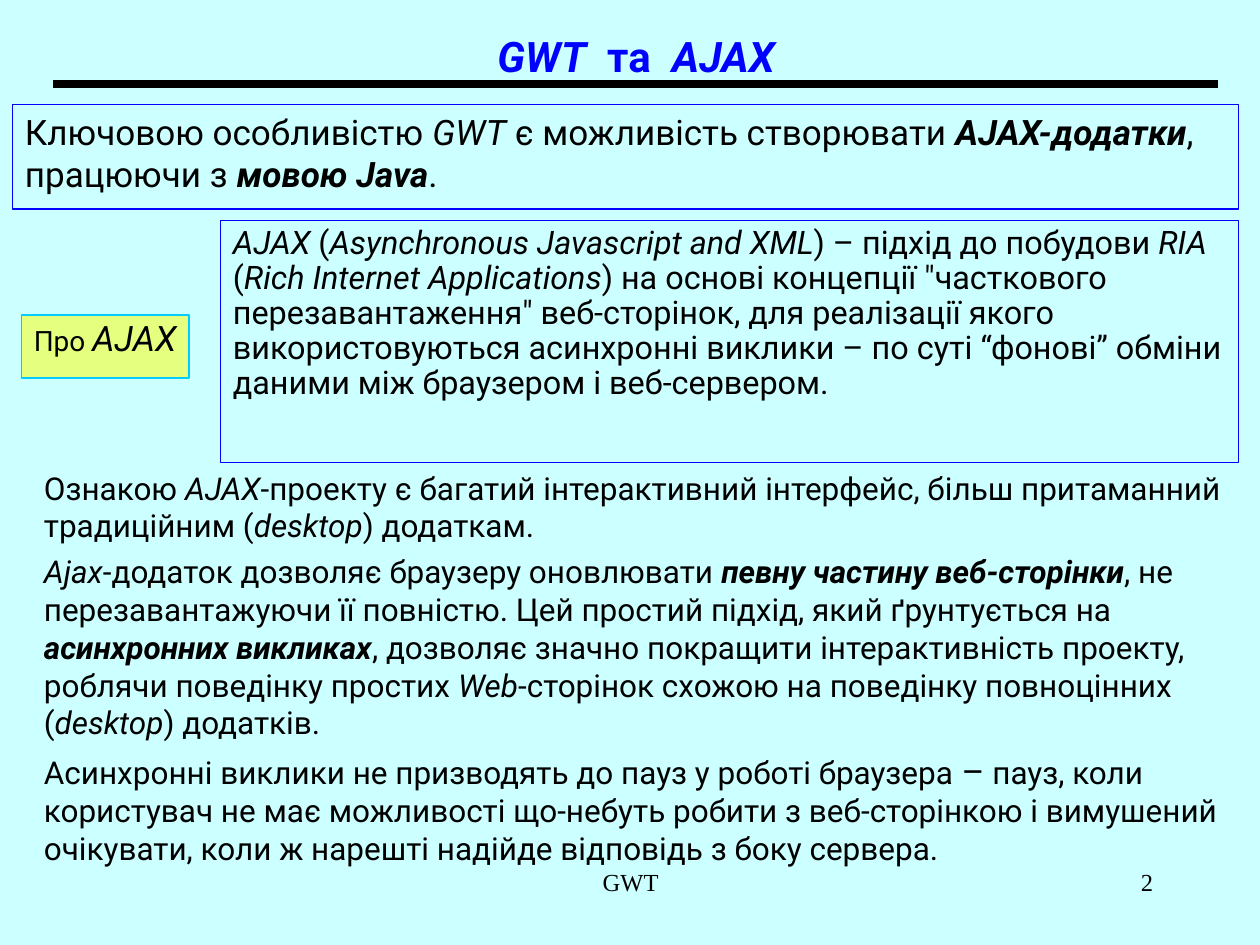
from lxml.etree import SubElement
from pptx import Presentation
from pptx.dml.color import RGBColor
from pptx.enum.shapes import MSO_CONNECTOR, MSO_SHAPE
from pptx.enum.text import MSO_ANCHOR, PP_ALIGN
from pptx.oxml.ns import qn
from pptx.util import Inches, Pt

BLACK = RGBColor(0x00, 0x00, 0x00)
BLUE = RGBColor(0x00, 0x00, 0xFF)
CYAN = RGBColor(0x00, 0xCC, 0xFF)
YELLOW = RGBColor(0xFF, 0xFF, 0x00)
PALE = RGBColor(0xCC, 0xFF, 0xFF)

deck = Presentation()
deck.slide_width = Inches(10)
deck.slide_height = Inches(7.5)
page = deck.slides.add_slide(deck.slide_layouts[6])
page.background.fill.solid()
page.background.fill.fore_color.rgb = PALE


def write(box, paragraphs, size, color=BLACK, font="Roboto", align=PP_ALIGN.LEFT,
          spacing=1.0, gap=0, anchor=MSO_ANCHOR.TOP):
    frame = box.text_frame
    frame.word_wrap = True
    frame.vertical_anchor = anchor
    for index, runs in enumerate(paragraphs):
        para = frame.add_paragraph() if index else frame.paragraphs[0]
        para.alignment = align
        para.line_spacing = spacing
        para.space_before = Pt(gap if index else 0)
        for text, style, *special in runs:
            span = para.add_run()
            span.text = text
            values = {"name": font, "size": Pt(size), "bold": "b" in style, "italic": "i" in style}
            if special:
                values.update(special[0])
            for name, value in values.items():
                setattr(span.font, name, value)
            span.font.color.rgb = color


def add_panel(place, line_color, line_width):
    panel = page.shapes.add_shape(MSO_SHAPE.RECTANGLE, *map(Inches, place))
    panel.shadow.inherit = False
    panel.fill.background()
    panel.line.color.rgb = line_color
    panel.line.width = Pt(line_width)
    return panel


title = page.shapes.add_textbox(Inches(0.25), Inches(0), Inches(9.75), Inches(0.67))
write(title, [[
    ("GWT", "bi"), ("  та  ", "b"), ("AJAX", "bi"),
    (" ", "", {"name": "Times New Roman", "size": Pt(44)}),
]], 24, BLUE, align=PP_ALIGN.CENTER, anchor=MSO_ANCHOR.MIDDLE)

rule = page.shapes.add_connector(
    MSO_CONNECTOR.STRAIGHT, Inches(0.42), Inches(0.67), Inches(9.67), Inches(0.67))
rule.line.color.rgb = BLACK
rule.line.width = Pt(4.5)
SubElement(rule._element.spPr, qn("a:effectLst"))

feature = add_panel((0.1, 0.83, 9.73, 0.83), BLUE, 0.75)
write(feature, [[
    ("Ключовою особливістю ", ""), ("GWT", "i"), (" є можливість створювати ", ""),
    ("AJAX-додатки", "bi"), (", працюючи з ", ""), ("мовою Java", "bi"), (".", ""),
]], 20)

definition = add_panel((1.75, 1.75, 8.08, 1.92), BLUE, 0.75)
write(definition, [[
    ("AJAX", "i"), (" (", ""), ("Asynchronous Javascript and XML", "i"),
    (") – підхід до побудови ", ""), ("RIA", "i"), (" (", ""),
    ("Rich Internet Applications", "i"),
    (") на основі концепції \"часткового перезавантаження\" веб-сторінок, для реалізації "
     "якого використовуються асинхронні виклики – по суті “фонові” обміни даними між "
     "браузером і веб-сервером.", ""),
]], 18.5, spacing=0.9)

details = page.shapes.add_textbox(Inches(0.25), Inches(3.67), Inches(9.58), Inches(3.58))
write(details, [
    [
        ("Ознакою ", ""), ("AJAX", "i"),
        ("-проекту є багатий інтерактивний інтерфейс, більш притаманний традиційним (", ""),
        ("desktop", "i"), (") додаткам.", ""),
    ],
    [
        ("Ajax", "i"), ("-додаток дозволяє браузеру оновлювати ", ""),
        ("певну частину веб-сторінки", "bi"),
        (", не перезавантажуючи її повністю. Цей простий підхід, який ґрунтується на ", ""),
        ("асинхронних викликах", "bi"),
        (", дозволяє значно покращити інтерактивність проекту, роблячи поведінку простих ", ""),
        ("Web", "i"), ("-сторінок схожою на поведінку повноцінних (", ""),
        ("desktop", "i"), (") додатків.", ""),
    ],
    [
        ("Асинхронні виклики не призводять до пауз у роботі браузера ", ""),
        ("–", "", {"size": Pt(20)}),
        (" пауз, коли користувач не має можливості що-небуть робити з веб-сторінкою і "
         "вимушений очікувати, коли ж нарешті надійде відповідь з боку сервера.", ""),
    ],
], 18, gap=4.5)

label = add_panel((0.17, 2.5, 1.33, 0.5), CYAN, 1)
label.fill.solid()
label.fill.fore_color.rgb = YELLOW
tint = label._element.spPr.find(qn("a:solidFill")).find(qn("a:srgbClr"))
SubElement(tint, qn("a:alpha"), val="50000")
write(label, [[("Про ", ""), ("AJAX", "i", {"size": Pt(20)})]], 16, spacing=0.9)

for text, left, width, align in (
    ("GWT", 3.42, 3.17, PP_ALIGN.CENTER),
    ("2", 7.17, 2.08, PP_ALIGN.RIGHT),
):
    footer = page.shapes.add_textbox(Inches(left), Inches(6.83), Inches(width), Inches(0.5))
    write(footer, [[(text, "")]], 14, font="Times New Roman", align=align)

deck.save("out.pptx")
